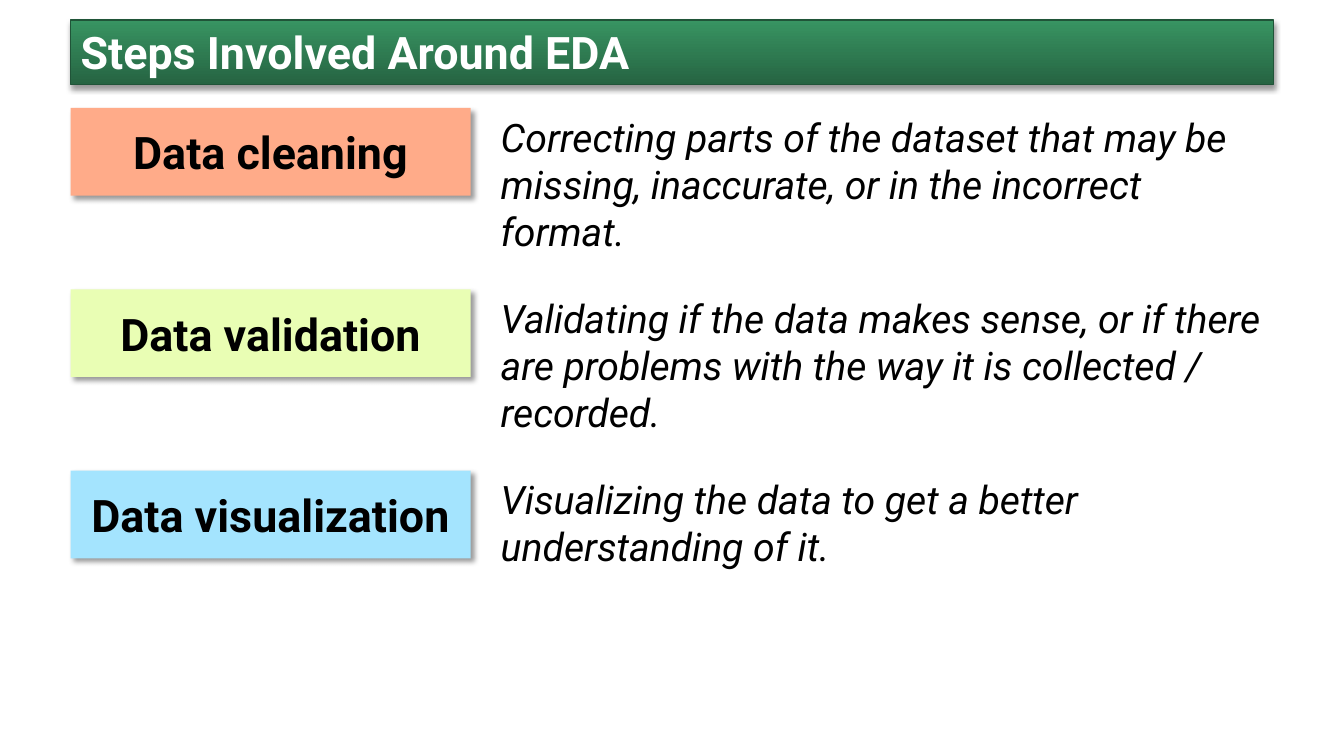
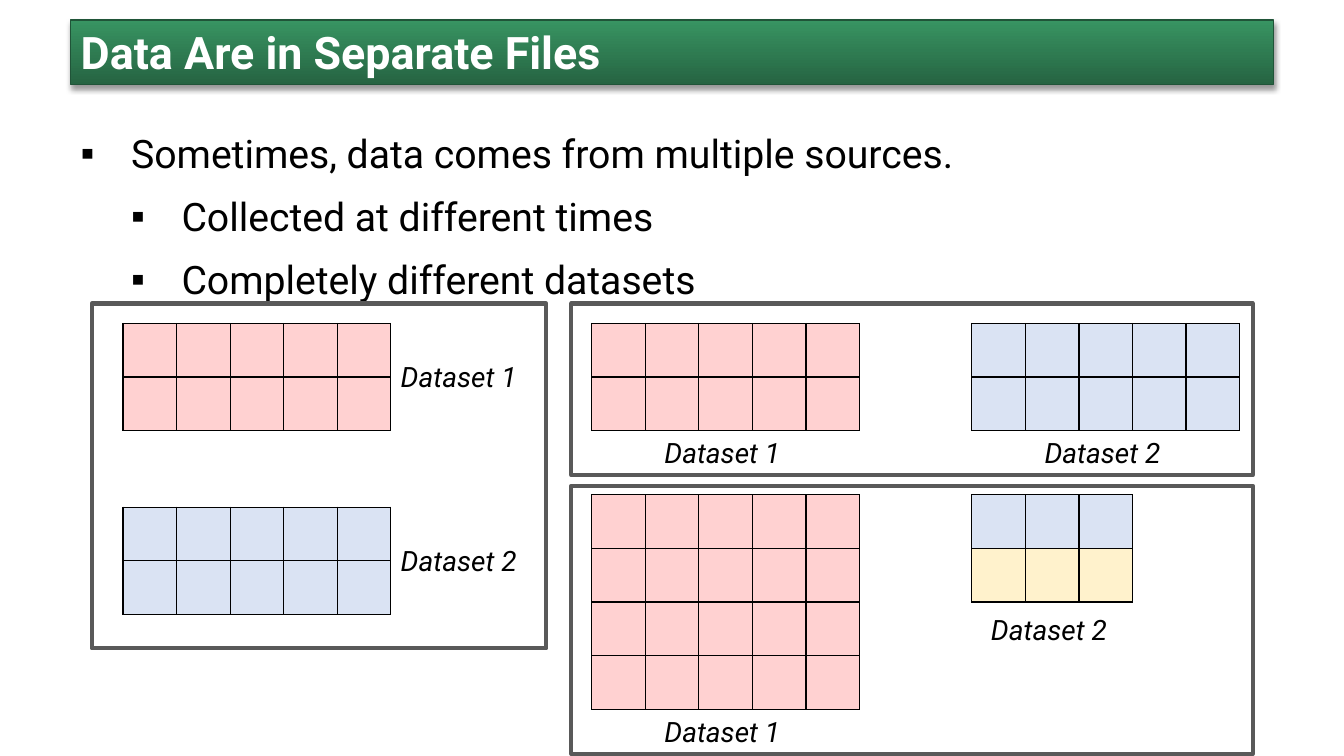
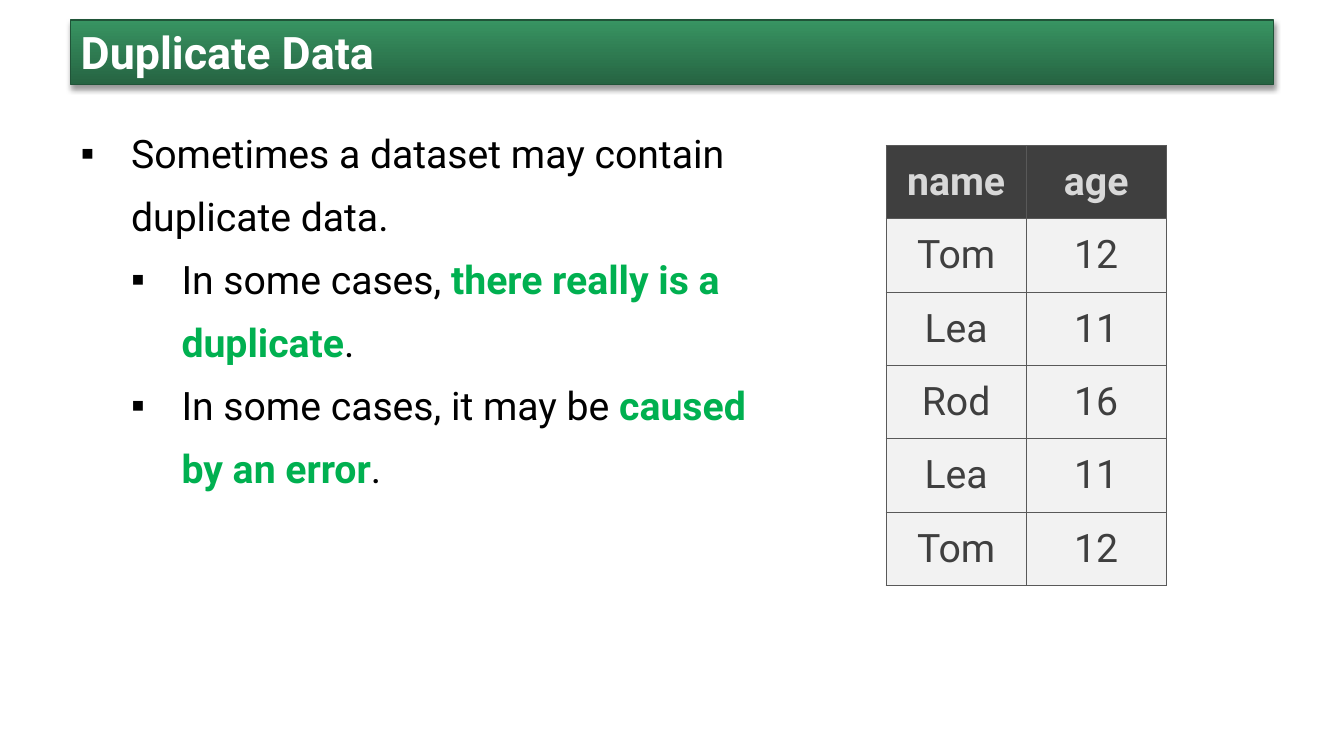
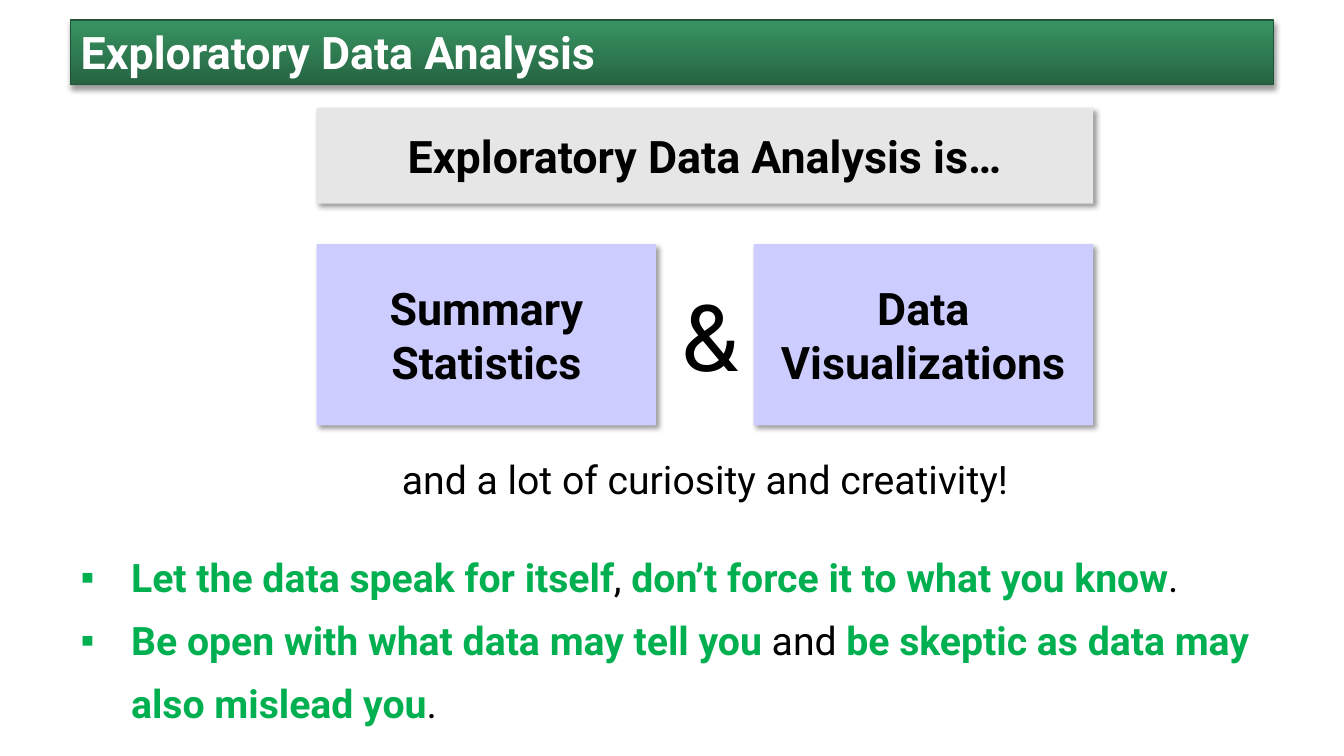
"""Build four slides on exploratory data analysis."""
from pptx import Presentation
from pptx.dml.color import RGBColor
from pptx.enum.shapes import MSO_SHAPE
from pptx.enum.text import MSO_ANCHOR, MSO_AUTO_SIZE, PP_ALIGN
from pptx.oxml.ns import qn
from pptx.util import Cm, Pt
from lxml.etree import SubElement

FONT = "Roboto"
BLACK, WHITE, GREEN, GRAY = "000000", "FFFFFF", "00B050", "595959"
PINK, BLUE, YELLOW, LAVENDER = "FFD1D1", "DAE3F3", "FFF2CC", "CCCCFF"
DARK, LIGHT, SILVER = "3F3F3F", "F2F2F2", "D8D8D8"
LEFT, TOP, WIDTH = 1.78, 2.72, 30.32
CELL = 1.35
LABEL_WIDTH, LABEL_HEIGHT = 3.58, 1.12
TITLE_ONLY, TITLE_AND_BODY = 5, 1
HEADING = {"size": Pt(32), "bold": True}
PLAIN = {"size": Pt(28), "bold": False}
STRONG = {"size": Pt(28), "bold": True}
DEFINITION = {"size": Pt(28), "italic": True}
LABEL = {"size": Pt(20), "italic": True}


def rgb(value):
    """Turn a hex string into a colour."""
    return RGBColor.from_string(value)


def set_values(target, values):
    """Set every attribute named in a dict."""
    for name, value in values.items():
        setattr(target, name, value)


def place(shape, box):
    """Move and size a shape with lengths in centimetres."""
    set_values(shape, dict(zip(("left", "top", "width", "height"), map(Cm, box))))


def add_run(paragraph, text, values, colour=BLACK):
    """Add formatted text to a paragraph."""
    run = paragraph.add_run()
    run.text = text
    set_values(run.font, {"name": FONT, **values})
    run.font.color.rgb = rgb(colour)


def set_shadow(shape, degrees):
    """Give a shape a soft shadow in one direction."""
    shape.shadow.inherit = False
    effects = shape._element.spPr.find(qn("a:effectLst"))
    shadow = SubElement(effects, qn("a:outerShdw"), blurRad=str(Pt(4)), dist=str(Pt(3)),
                        dir=str(degrees * 60000), algn="t", rotWithShape="0")
    colour = SubElement(shadow, qn("a:srgbClr"), val=BLACK)
    SubElement(colour, qn("a:alpha"), val="40000")


def add_titled_slide(presentation, title, layout=TITLE_AND_BODY):
    """Add a slide with the green title band."""
    slide = presentation.slides.add_slide(presentation.slide_layouts[layout])
    band = slide.shapes.title
    place(band, (LEFT, 0.5, WIDTH, 1.63))
    band.fill.gradient()
    band.fill.gradient_angle = 270
    for stop, colour in zip(band.fill.gradient_stops, ("389462", "266442")):
        stop.color.rgb = rgb(colour)
    band.line.color.rgb = rgb("205438")
    band.line.width = Pt(1)
    set_shadow(band, 90)
    set_values(band.text_frame, {"auto_size": MSO_AUTO_SIZE.NONE, "vertical_anchor": MSO_ANCHOR.TOP})
    paragraph = band.text_frame.paragraphs[0]
    paragraph.alignment = PP_ALIGN.LEFT
    add_run(paragraph, title, HEADING, WHITE)
    return slide


def fill_body(slide, box, items):
    """Write (level, text) bullets, with emphasis between asterisks."""
    body = slide.placeholders[1]
    place(body, box)
    frame = body.text_frame
    frame.auto_size = MSO_AUTO_SIZE.NONE
    for index, (level, text) in enumerate(items):
        paragraph = frame.add_paragraph() if index else frame.paragraphs[0]
        set_values(paragraph, {"level": level, "line_spacing": Pt(45), "space_before": Pt(0)})
        properties = paragraph._p.get_or_add_pPr()
        properties.set("marL", str(Cm(1.27 * (level + 1))))
        properties.set("indent", str(Cm(-1.27)))
        SubElement(properties, qn("a:buChar"), char="▪")
        for part, words in enumerate(text.split("*")):
            if words:
                add_run(paragraph, words, *((STRONG, GREEN) if part % 2 else (PLAIN, BLACK)))


def add_text(slide, box, text, values, alignment=PP_ALIGN.LEFT):
    """Add a wrapped text box."""
    shape = slide.shapes.add_textbox(*map(Cm, box))
    shape.text_frame.word_wrap = True
    paragraph = shape.text_frame.paragraphs[0]
    paragraph.alignment = alignment
    add_run(paragraph, text, values)


def add_card(slide, box, text, colour):
    """Add a filled box with a bold centred heading."""
    card = slide.shapes.add_shape(MSO_SHAPE.RECTANGLE, *map(Cm, box))
    card.fill.solid()
    card.fill.fore_color.rgb = rgb(colour)
    card.line.fill.background()
    set_shadow(card, 45)
    set_values(card.text_frame, {"word_wrap": True, "vertical_anchor": MSO_ANCHOR.MIDDLE})
    paragraph = card.text_frame.paragraphs[0]
    paragraph.alignment = PP_ALIGN.CENTER
    add_run(paragraph, text, HEADING)


def add_frame(slide, box):
    """Add an unfilled gray frame."""
    frame = slide.shapes.add_shape(MSO_SHAPE.RECTANGLE, *map(Cm, box))
    frame.fill.background()
    frame.line.color.rgb = rgb(GRAY)
    frame.line.width = Pt(3)
    frame.shadow.inherit = False


def add_grid(slide, left, top, column_width, row_height, columns, row_colours, border, border_width):
    """Add a table with one fill per row and even borders."""
    rows = len(row_colours)
    table = slide.shapes.add_table(rows, columns, Cm(left), Cm(top), Cm(column_width * columns),
                                   Cm(row_height * rows)).table
    set_values(table, {"first_row": False, "horz_banding": False})
    for column in table.columns:
        column.width = Cm(column_width)
    for row, colour in zip(table.rows, row_colours):
        row.height = Cm(row_height)
        for cell in row.cells:
            properties = cell._tc.get_or_add_tcPr()
            for side in ("lnL", "lnR", "lnT", "lnB"):
                line = SubElement(properties, qn(f"a:{side}"), w=str(Pt(border_width)))
                SubElement(SubElement(line, qn("a:solidFill")), qn("a:srgbClr"), val=border)
            cell.fill.solid()
            cell.fill.fore_color.rgb = rgb(colour)
    return table


def add_dataset(slide, left, top, columns, row_colours, name, beside=False, gap=0):
    """Add a grid of square cells with its name beside or below."""
    add_grid(slide, left, top, CELL, CELL, columns, row_colours, BLACK, 1)
    width, height = CELL * columns, CELL * len(row_colours)
    if beside:
        corner = (left + width, top + (height - LABEL_HEIGHT) / 2)
    else:
        corner = (left + (width - LABEL_WIDTH) / 2, top + height + gap)
    add_text(slide, (*corner, LABEL_WIDTH, LABEL_HEIGHT), name, LABEL)


def add_record_table(slide, left, top, records):
    """Add a table of text with a dark heading row."""
    fills = [DARK] + [LIGHT] * (len(records) - 1)
    table = add_grid(slide, left, top, 3.53, 1.85, len(records[0]), fills, GRAY, 0.67)
    for index, (row, record) in enumerate(zip(table.rows, records)):
        for cell, text in zip(row.cells, record):
            set_values(cell, {"vertical_anchor": MSO_ANCHOR.MIDDLE,
                              "margin_left": Cm(0.18), "margin_right": Cm(0.18),
                              "margin_top": Cm(0.08), "margin_bottom": Cm(0.08)})
            paragraph = cell.text_frame.paragraphs[0]
            paragraph.alignment = PP_ALIGN.CENTER
            add_run(paragraph, text, *((PLAIN, DARK) if index else (STRONG, SILVER)))


def build_steps(presentation):
    """Build the slide of steps and their definitions."""
    slide = add_titled_slide(presentation, "Steps Involved Around EDA", TITLE_ONLY)
    steps = (
        ("Data cleaning", "FFAB89", 3.84,
         "Correcting parts of the dataset that may be missing, inaccurate, or in the incorrect format."),
        ("Data validation", "E9FEB4", 3.84,
         "Validating if the data makes sense, or if there are problems with the way it is "
         "collected / recorded."),
        ("Data visualization", "A4E4FE", 2.64,
         "Visualizing the data to get a better understanding of it."),
    )
    for index, (name, colour, height, definition) in enumerate(steps):
        top = TOP + index * 4.57
        add_card(slide, (LEFT, top, 10.08, 2.21), name, colour)
        add_text(slide, (12.37, top, 19.74, height), definition, DEFINITION)


def build_separate_files(presentation):
    """Build the slide of ways in which datasets are split."""
    slide = add_titled_slide(presentation, "Data Are in Separate Files")
    fill_body(slide, (LEFT, TOP, WIDTH, 4.9), (
        (0, "Sometimes, data comes from multiple sources."),
        (1, "Collected at different times"),
        (1, "Completely different datasets"),
    ))
    first, second = "Dataset 1", "Dataset 2"
    stacked_left, middle_left, right_left = 3.1, 14.91, 24.49
    upper, lower = 8.15, 12.47
    add_dataset(slide, stacked_left, upper, 5, [PINK] * 2, first, beside=True)
    add_dataset(slide, stacked_left, 12.78, 5, [BLUE] * 2, second, beside=True)
    add_dataset(slide, middle_left, upper, 5, [PINK] * 2, first)
    add_dataset(slide, right_left, upper, 5, [BLUE] * 2, second)
    add_dataset(slide, middle_left, lower, 5, [PINK] * 4, first)
    add_dataset(slide, right_left, lower, 3, [BLUE, YELLOW], second, gap=0.13)
    for box in ((2.31, 7.65, 11.46, 8.69), (14.4, 7.65, 17.17, 4.32), (14.4, 12.24, 17.17, 6.76)):
        add_frame(slide, box)


def build_duplicates(presentation):
    """Build the slide on duplicate rows."""
    slide = add_titled_slide(presentation, "Duplicate Data")
    fill_body(slide, (LEFT, TOP, 17.78, 9.73), (
        (0, "Sometimes a dataset may contain duplicate data."),
        (1, "In some cases, *there really is a duplicate*."),
        (1, "In some cases, it may be *caused by an error*."),
    ))
    add_record_table(slide, 22.33, 3.66, (
        ("name", "age"), ("Tom", "12"), ("Lea", "11"),
        ("Rod", "16"), ("Lea", "11"), ("Tom", "12"),
    ))


def build_analysis(presentation):
    """Build the slide that defines exploratory data analysis."""
    slide = add_titled_slide(presentation, "Exploratory Data Analysis")
    left, width, card_width = 7.98, 19.57, 8.56
    fill_body(slide, (LEFT, 13.41, WIDTH, 4.9), (
        (0, "*Let the data speak for itself*, *don’t force it to what you know*."),
        (0, "*Be open with what data may tell you *and *be skeptic as data may also mislead you*."),
    ))
    add_card(slide, (left, TOP, width, 2.41), "Exploratory Data Analysis is…", "E7E6E6")
    add_card(slide, (left, 6.15, card_width, 4.57), "Summary Statistics", LAVENDER)
    add_card(slide, (left + width - card_width, 6.15, card_width, 4.57), "Data Visualizations", LAVENDER)
    add_text(slide, (16.92, 6.91, 1.7, 3.07), "&", {"size": Pt(66)})
    add_text(slide, (left, 11.35, width, 1.45), "and a lot of curiosity and creativity!", PLAIN,
             PP_ALIGN.CENTER)


def main():
    """Build and save the presentation."""
    presentation = Presentation()
    set_values(presentation, {"slide_width": Cm(33.87), "slide_height": Cm(19.05)})
    for build in (build_steps, build_separate_files, build_duplicates, build_analysis):
        build(presentation)
    presentation.save("out.pptx")


if __name__ == "__main__":
    main()
